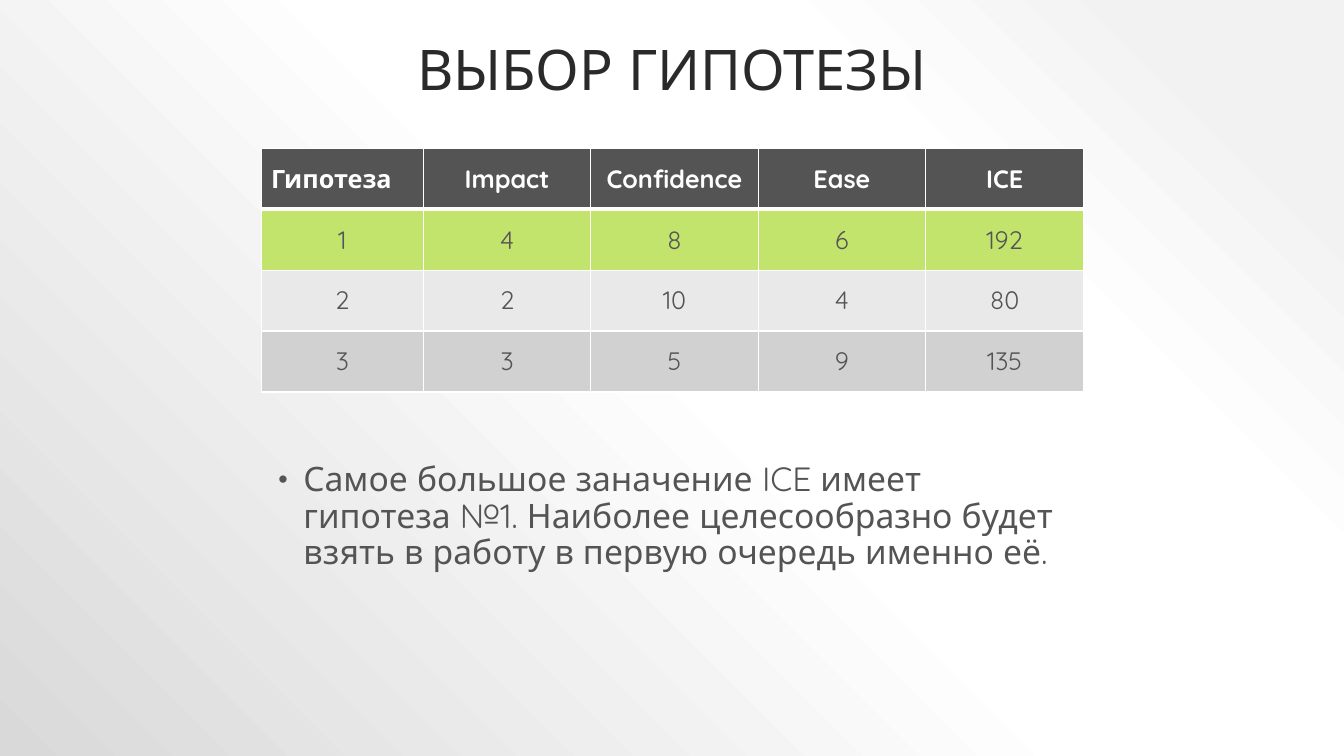
from pptx import Presentation
from pptx.dml.color import RGBColor
from pptx.enum.text import MSO_ANCHOR as Anchor, MSO_AUTO_SIZE as Fit, PP_ALIGN as Align
from pptx.oxml import parse_xml
from pptx.oxml.ns import nsdecls
from pptx.util import Inches, Pt

FONT = "Quicksand"
BLACK = RGBColor(0x2A, 0x2A, 0x2A)
GRAY = RGBColor(0x54, 0x54, 0x54)
WHITE = RGBColor(0xFF, 0xFF, 0xFF)
GREEN = RGBColor(0xC2, 0xE4, 0x6D)
LIGHT = RGBColor(0xE9, 0xE9, 0xE9)
MID = RGBColor(0xD1, 0xD1, 0xD1)
PALE = RGBColor(0xF2, 0xF2, 0xF2)
DIM = RGBColor(0xD9, 0xD9, 0xD9)

TITLE = "ВЫБОР ГИПОТЕЗЫ"
NOTE = ("Самое большое заначение ICE имеет гипотеза №1. "
        "Наиболее целесообразно будет взять в работу в первую очередь именно её.")
HEAD = ("Гипотеза", "Impact", "Confidence", "Ease", "ICE")
SCORES = ((4, 8, 6), (2, 10, 4), (3, 5, 9))
FILLS = (GRAY, GREEN, LIGHT, MID)
WIDTHS = (1.61, 1.66, 1.66, 1.66, 1.57)
TABLE = (2.59, 1.47, sum(WIDTHS), 2.42)
STOPS = ((10, PALE), (28, WHITE), (48, WHITE), (100, DIM))


def write(par, text, size, color, bold=False):
    """Add one formatted run to a paragraph."""
    run = par.add_run()
    run.text = text
    font = run.font
    font.name, font.size, font.bold = FONT, Pt(size), bold
    font.color.rgb = color


def place(shape, box, anchor):
    """Move a placeholder and prepare its text frame."""
    shape.left, shape.top, shape.width, shape.height = map(Inches, box)
    frame = shape.text_frame
    frame.word_wrap, frame.auto_size = True, Fit.NONE
    frame.vertical_anchor = anchor
    par = frame.paragraphs[0]
    par.line_spacing = 0.9
    return par


def paint(slide):
    """Give the slide its corner gradient."""
    stops = "".join(f'<a:gs pos="{pos * 1000}"><a:srgbClr val="{color}"/></a:gs>'
                    for pos, color in STOPS)
    back = parse_xml(
        f'<p:bg {nsdecls("p", "a")}><p:bgPr><a:gradFill rotWithShape="1">'
        f'<a:gsLst>{stops}</a:gsLst><a:path path="circle">'
        '<a:fillToRect l="100000" b="100000"/></a:path></a:gradFill>'
        '<a:effectLst/></p:bgPr></p:bg>')
    slide.element.cSld.insert(0, back)


def edge(cell, row):
    """Draw white cell borders, thicker under the header."""
    top, low = (3 if row == 1 else 1), (3 if row == 0 else 1)
    sides = (("L", 1), ("R", 1), ("T", top), ("B", low))
    props = cell._tc.get_or_add_tcPr()
    for spot, (side, width) in enumerate(sides):
        props.insert(spot, parse_xml(
            f'<a:ln{side} {nsdecls("a")} w="{Pt(width)}"><a:solidFill>'
            f'<a:srgbClr val="{WHITE}"/></a:solidFill></a:ln{side}>'))


def add_grid(slide):
    """Build the table and work out each ICE score."""
    rows = [HEAD]
    for num, (impact, trust, ease) in enumerate(SCORES, 1):
        rows.append((num, impact, trust, ease, impact * trust * ease))
    grid = slide.shapes.add_table(len(rows), len(HEAD), *map(Inches, TABLE)).table
    for col, width in zip(grid.columns, WIDTHS):
        col.width = Inches(width)
    for r, row in enumerate(rows):
        for c, value in enumerate(row):
            cell = grid.cell(r, c)
            cell.vertical_anchor = Anchor.MIDDLE
            cell.fill.solid()
            cell.fill.fore_color.rgb = FILLS[r]
            edge(cell, r)
            par = cell.text_frame.paragraphs[0]
            par.alignment = Align.LEFT if r == c == 0 else Align.CENTER
            write(par, str(value), 18, GRAY if r else WHITE, r == 0)


def add_note(shape):
    """Fill the body with its bulleted conclusion."""
    par = place(shape, (2.61, 4.54, 8.11, 2.44), Anchor.TOP)
    par.space_before = Pt(18)
    write(par, NOTE, 24, GRAY)
    props = par._p.get_or_add_pPr()
    props.set("marL", str(Inches(0.3)))
    props.set("indent", str(Inches(-0.25)))
    for mark in (f'<a:buClr {nsdecls("a")}><a:srgbClr val="{GRAY}"/></a:buClr>',
                 f'<a:buSzPct {nsdecls("a")} val="80000"/>',
                 f'<a:buFont {nsdecls("a")} typeface="Arial"/>',
                 f'<a:buChar {nsdecls("a")} char="•"/>'):
        props.append(parse_xml(mark))


def main():
    """Build and save the slide."""
    deck = Presentation()
    deck.slide_width, deck.slide_height = Inches(13.33), Inches(7.5)
    slide = deck.slides.add_slide(deck.slide_layouts[1])
    paint(slide)
    par = place(slide.shapes.title, (1.33, 0.3, 10.67, 0.77), Anchor.BOTTOM)
    par.alignment = Align.CENTER
    write(par, TITLE, 40, BLACK)
    add_grid(slide)
    add_note(slide.placeholders[1])
    deck.save("out.pptx")


if __name__ == "__main__":
    main()
